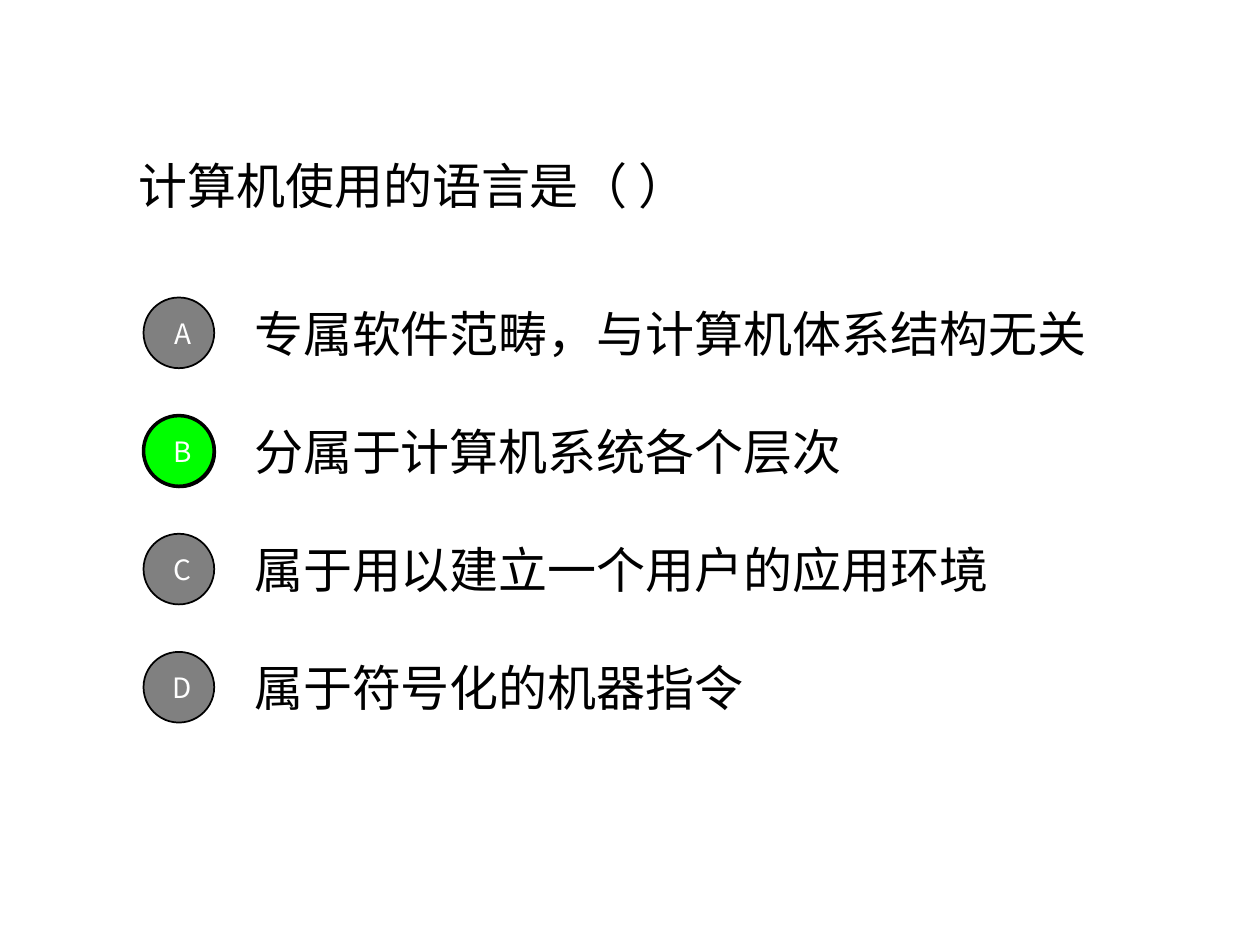
from pptx import Presentation
from pptx.dml.color import RGBColor
from pptx.enum.shapes import MSO_SHAPE as Shape
from pptx.enum.text import MSO_ANCHOR as Anchor, MSO_AUTO_SIZE as AutoSize, PP_ALIGN as Align
from pptx.util import Pt

BODY = {"name": "Times New Roman", "size": Pt(28)}
LETTER = {"name": "Noto Sans CJK SC", "size": Pt(16)}
QUESTION = "计算机使用的语言是（ ）"
OPTIONS = [
    ("A", "专属软件范畴，与计算机体系结构无关"),
    ("B", "分属于计算机系统各个层次"),
    ("C", "属于用以建立一个用户的应用环境"),
    ("D", "属于符号化的机器指令"),
]
ANSWER = "B"
ROW_PITCH = 67.5
BADGE_SIZE = 40.4
TEXT_INDENT = 56.2
ANSWER_OFFSET = 0.6


def colour(value):
    return RGBColor.from_string(value)


def write(shape, text, font_values, font_colour, align, wrap):
    frame = shape.text_frame
    frame_values = {"auto_size": AutoSize.NONE, "word_wrap": wrap, "vertical_anchor": Anchor.MIDDLE}
    for name, value in frame_values.items():
        setattr(frame, name, value)
    paragraph = frame.paragraphs[0]
    paragraph.alignment = align
    run = paragraph.add_run()
    run.text = text
    for name, value in font_values.items():
        setattr(run.font, name, value)
    run.font.color.rgb = colour(font_colour)


def place_question(slide, left, top, width, height):
    title = slide.shapes.title
    box = {"left": left, "top": top, "width": width, "height": height}
    for name, value in box.items():
        setattr(title, name, Pt(value))
    write(title, QUESTION, BODY, "000000", Align.LEFT, True)


def add_badge(slide, left, top, letter, fill, line_width):
    badge = slide.shapes.add_shape(Shape.OVAL, Pt(left), Pt(top), Pt(BADGE_SIZE), Pt(BADGE_SIZE))
    badge.shadow.inherit = False
    badge.fill.solid()
    badge.fill.fore_color.rgb = colour(fill)
    badge.line.color.rgb = colour("000000")
    badge.line.width = Pt(line_width)
    write(badge, letter, LETTER, "FFFFFF", Align.RIGHT, False)


def add_option(slide, left, top, width, height, letter, text):
    text_box = slide.shapes.add_textbox(
        Pt(left + TEXT_INDENT), Pt(top), Pt(width - TEXT_INDENT), Pt(height))
    write(text_box, text, BODY, "000000", Align.LEFT, False)
    badge_top = top + (height - BADGE_SIZE) / 2
    is_answer = letter == ANSWER
    if is_answer:
        add_badge(slide, left + ANSWER_OFFSET, badge_top + ANSWER_OFFSET, letter, "808080", 1)
    add_badge(slide, left, badge_top, letter, "00FF00" if is_answer else "808080", 2 if is_answer else 1)


def add_options(slide, left, top, width, row_height):
    for index, (letter, text) in enumerate(OPTIONS):
        add_option(slide, left, top + index * ROW_PITCH, width, row_height, letter, text)


def main():
    presentation = Presentation()
    presentation.slide_width, presentation.slide_height = Pt(720), Pt(540)
    slide = presentation.slides.add_slide(presentation.slide_layouts[5])
    place_question(slide, 72, 21.6, 576, 168.5)
    add_options(slide, 82, 165, 560.2, 50.4)
    presentation.save("out.pptx")


if __name__ == "__main__":
    main()
